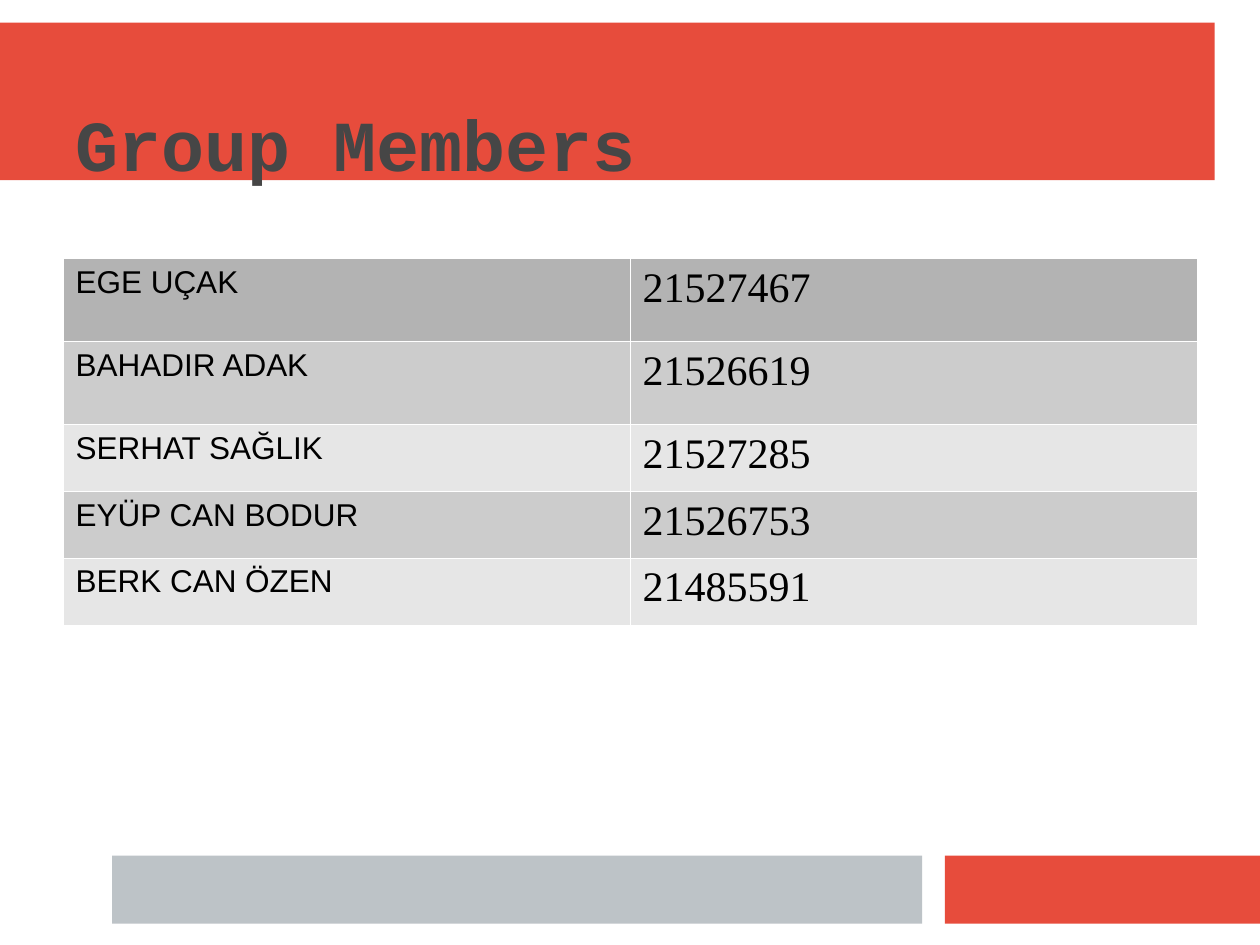
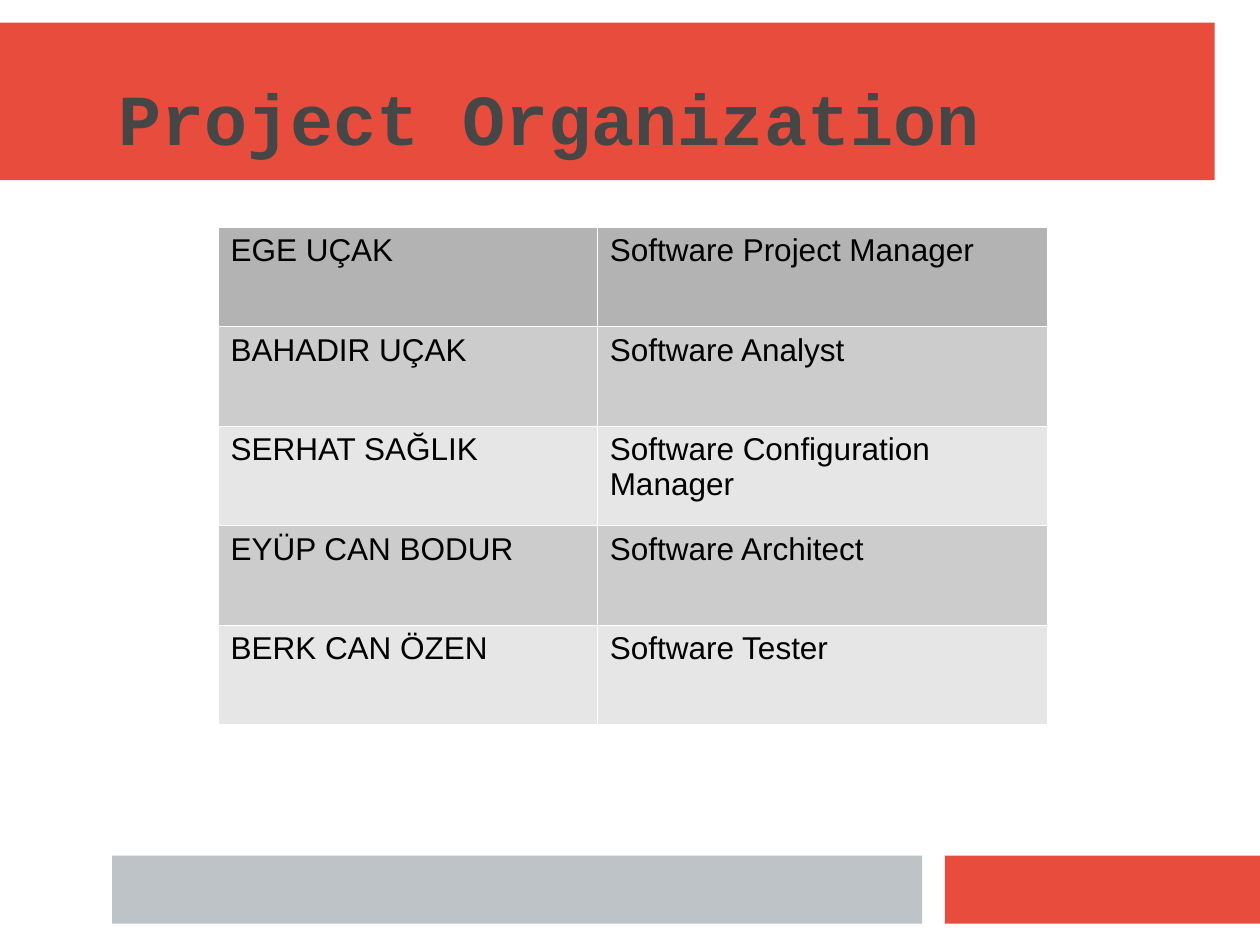
from lxml import etree
from pptx import Presentation
from pptx.dml.color import RGBColor
from pptx.enum import shapes, text
from pptx.oxml import ns
from pptx.util import Inches, Pt

RED, SILVER, WHITE = "E74C3C", "BDC3C7", "FFFFFF"
TITLE_COLOR, BLACK = "464646", "000000"
HEADER_FILL, ROW_FILLS = "B3B3B3", ("CCCCCC", "E6E6E6")
BANDS = [  # left, top, width, height, colour
    (0, 0.18, 9.64, 1.25, RED),
    (7.5, 6.79, 2.5, 0.54, RED),
    (0.89, 6.79, 6.43, 0.54, SILVER),
]
BORDER_WIDTH = Pt(0.06)


def rgb(hex_color):
    return RGBColor.from_string(hex_color)


def write(tf, content, font="Arial", size=18, color=BLACK, bold=False):
    p = tf.paragraphs[0]
    p.alignment = text.PP_ALIGN.LEFT
    r = p.add_run()
    r.text = content
    r.font.name, r.font.size, r.font.bold = font, Pt(size), bold
    r.font.color.rgb = rgb(color)


def add_band(slide, left, top, width, height, color):
    sp = slide.shapes.add_shape(shapes.MSO_SHAPE.RECTANGLE, Inches(left), Inches(top),
                                Inches(width), Inches(height))
    sp.shadow.inherit = False
    sp.fill.solid()
    sp.fill.fore_color.rgb = rgb(color)
    sp.line.fill.background()
    return sp


def share_bands(slide):
    """Draw the bands and move them behind everything on the slide's layout."""
    layout = slide.slide_layout
    for ph in list(layout.placeholders):
        if ph.placeholder_format.type != shapes.PP_PLACEHOLDER.TITLE:
            layout.shapes.element.remove(ph.element)
    for i, band in enumerate(BANDS):
        layout.shapes.element.insert(2 + i, add_band(slide, *band).element)


def set_title(slide, content, height, indent=0):
    title = slide.shapes.title
    title.left, title.top = Inches(0.5), Inches(0.3)
    title.width, title.height = Inches(9), Inches(height)
    tf = title.text_frame
    tf.auto_size = text.MSO_AUTO_SIZE.NONE
    tf.vertical_anchor = text.MSO_ANCHOR.MIDDLE
    tf.margin_left = Inches(0.1 + indent)
    write(tf, content, font="Courier New", size=41, color=TITLE_COLOR, bold=True)


def set_borders(cell):
    tc_pr = cell._tc.get_or_add_tcPr()
    for side in ("lnL", "lnR", "lnT", "lnB"):
        ln = etree.SubElement(tc_pr, ns.qn(f"a:{side}"), w=str(BORDER_WIDTH))
        fill = etree.SubElement(ln, ns.qn("a:solidFill"))
        etree.SubElement(fill, ns.qn("a:srgbClr"), val=WHITE)


def add_member_table(slide, left, top, col_widths, row_heights, rows, **value_format):
    table = slide.shapes.add_table(
        len(rows), len(col_widths), Inches(left), Inches(top),
        Inches(sum(col_widths)), Inches(sum(row_heights))).table
    table.first_row = table.horz_banding = False
    for col, width in zip(table.columns, col_widths):
        col.width = Inches(width)
    for i, (row, height, values) in enumerate(zip(table.rows, row_heights, rows)):
        row.height = Inches(height)
        for j, (cell, value) in enumerate(zip(row.cells, values)):
            set_borders(cell)
            cell.fill.solid()
            cell.fill.fore_color.rgb = rgb(ROW_FILLS[(i - 1) % 2] if i else HEADER_FILL)
            write(cell.text_frame, value, **(value_format if j else {}))


def main():
    prs = Presentation()
    prs.slide_width, prs.slide_height = Inches(10), Inches(7.5)
    title_only = prs.slide_layouts[5]

    # Group members and their numbers
    members = prs.slides.add_slide(title_only)
    share_bands(members)
    set_title(members, "Group Members", height=1.66)
    add_member_table(members, 0.5, 2.05, [4.5] * 2, [0.66] * 2 + [0.53] * 3, [
        ("EGE UÇAK", "21527467"),
        ("BAHADIR ADAK", "21526619"),
        ("SERHAT SAĞLIK", "21527285"),
        ("EYÜP CAN BODUR", "21526753"),
        ("BERK CAN ÖZEN", "21485591"),
    ], font="Times New Roman", size=24)

    # Project roles
    organization = prs.slides.add_slide(title_only)
    set_title(organization, "Project Organization", height=1.25, indent=0.34)
    add_member_table(organization, 1.73, 1.8, [3.01, 3.57], [0.79] * 5, [
        ("EGE UÇAK", "Software Project Manager"),
        ("BAHADIR UÇAK", "Software Analyst"),
        ("SERHAT SAĞLIK", "Software Configuration Manager"),
        ("EYÜP CAN BODUR", "Software Architect"),
        ("BERK CAN ÖZEN", "Software Tester"),
    ])

    prs.save("out.pptx")


if __name__ == "__main__":
    main()
